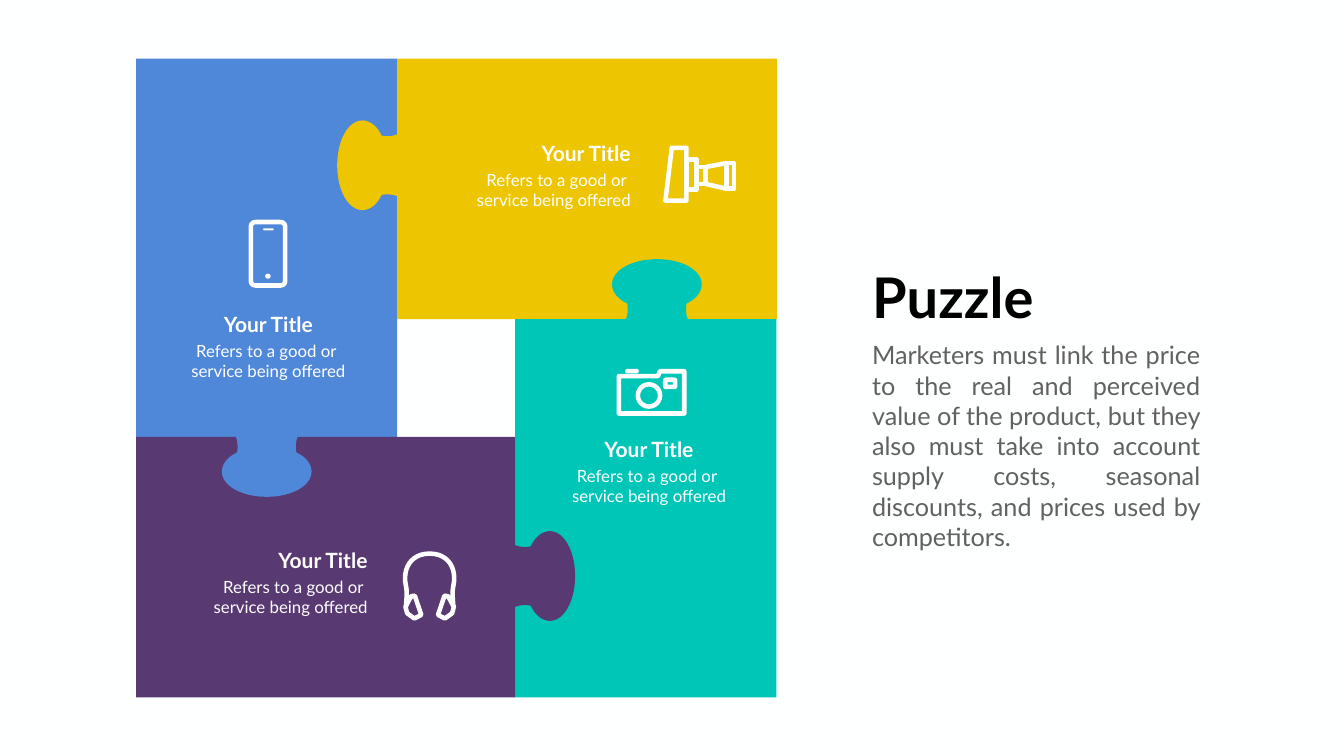
"""Build a slide with a four-piece puzzle, labels and icons."""
import pptx
import pptx.dml.color
import pptx.enum.shapes
import pptx.enum.text
import pptx.util

Cm = pptx.util.Cm
Pt = pptx.util.Pt
RGBColor = pptx.dml.color.RGBColor
Align = pptx.enum.text.PP_ALIGN
Shape = pptx.enum.shapes.MSO_SHAPE

PAPER = RGBColor(0xFE, 0xFF, 0xFF)
WHITE = RGBColor(0xFF, 0xFF, 0xFF)
BLACK = RGBColor(0, 0, 0)
GRAY = RGBColor(0x61, 0x61, 0x61)
BLUE = RGBColor(0x4F, 0x87, 0xD9)
YELLOW = RGBColor(0xED, 0xC5, 0x00)
TEAL = RGBColor(0x00, 0xC6, 0xB8)
PURPLE = RGBColor(0x59, 0x39, 0x72)

FONT = "Lato"
STROKE = 6.5

# Base point, outward direction, edge before and after the knob, depth, colour
PIECES = [
    ((13.44, 22.02), (0, 1), 6.58, 6.57, 19.07, BLUE),
    ((20.01, 8.33), (-1, 0), 5.38, 7.75, 19.15, YELLOW),
    ((33.1, 16.08), (0, -1), 6.02, 7.14, 19.07, TEAL),
    ((25.96, 29.03), (1, 0), 6.12, 7.01, 19.1, PURPLE),
]
LABELS = [
    (9.19, 15.6, Align.CENTER),
    (28.37, 21.89, Align.CENTER),
    (23.37, 6.96, Align.RIGHT),
    (10.11, 27.48, Align.RIGHT),
]
KNOB = [
    ((-1.51, 0.1), (-1.47, 0.25), (-1.47, 0.48)),
    ((-1.47, 0.58), (-1.47, 0.69), (-1.5, 0.79)),
    ((-1.96, 0.99), (-2.26, 1.37), (-2.26, 1.75)),
    ((-2.26, 2.46), (-1.27, 3.02), (0, 3.02)),
]
BAND = [
    ((-1.19, 30.3), (-1.11, 29.9), (-1.2, 29.5)),
    ((-1.37, 28.7), (-0.98, 27.9), (0, 27.9)),
]
CUP = [(1.22, 30.58), (0.93, 30.05), (0.75, 30.02),
       (0.42, 30.99), (0.77, 31.17), (1.13, 30.91)]
CAMERA = [(31.18, 20.84), (31.18, 18.96), (33.15, 18.96),
          (33.25, 18.71), (34.48, 18.71), (34.48, 20.84)]
TORCH = [
    [(33.53, 10.11), (33.85, 7.45), (34.59, 7.45), (34.59, 10.11)],
    [(34.59, 8.03), (35.09, 8.03), (35.09, 9.55), (34.59, 9.55)],
    [(35.09, 8.42), (35.55, 8.42), (35.55, 9.27), (35.09, 9.27)],
    [(35.55, 8.42), (36.6, 8.22), (36.6, 9.51), (35.55, 9.27)],
    [(36.6, 8.22), (36.99, 8.22), (36.99, 9.51), (36.6, 9.51)],
]


def trace(start, curves, steps=12):
    """Return points along a chain of cubic curves."""
    points = [start]
    for one, two, end in curves:
        first = points[-1]
        for step in range(1, steps + 1):
            t = step / steps
            u = 1 - t
            points.append(tuple(
                u**3 * a + 3 * u * u * t * b + 3 * u * t * t * c + t**3 * d
                for a, b, c, d in zip(first, one, two, end)))
    return points


def mirror(half):
    """Join a left half to its reflection across the vertical axis."""
    return half + [(-x, y) for x, y in reversed(half[:-1])]


def paint(shape, color, stroke=None):
    """Fill a shape, or outline it when a stroke width is given."""
    shape.shadow.inherit = False
    if stroke:
        shape.fill.background()
        shape.line.color.rgb = color
        shape.line.width = Pt(stroke)
    else:
        shape.fill.solid()
        shape.fill.fore_color.rgb = color
        shape.line.fill.background()


def outline(slide, points, color, stroke=None, close=True):
    """Draw a freeform through points given in centimetres."""
    spots = [(Cm(x), Cm(y)) for x, y in points]
    pen = slide.shapes.build_freeform(*spots[0], scale=1.0)
    pen.add_line_segments(spots[1:], close=close)
    paint(pen.convert_to_shape(), color, stroke)


def preset(slide, kind, box, stroke=None, curve=None):
    """Draw a white preset shape, filled or outlined."""
    shape = slide.shapes.add_shape(kind, *map(Cm, box))
    if curve is not None:
        shape.adjustments[0] = curve
    paint(shape, WHITE, stroke)


def piece(slide, base, out, points, color):
    """Turn local points toward a direction and draw them at the base."""
    (x, y), (dx, dy) = base, out
    outline(slide, [(x + t * dy + n * dx, y - t * dx + n * dy)
                    for t, n in points], color)


def puzzle(slide):
    """Draw the interlocking pieces, the first knob on top."""
    knob = mirror(trace((-1.56, 0), KNOB))
    for base, out, before, after, depth, color in PIECES:
        body = [(after, 0), (after, -depth), (-before, -depth), (-before, 0)]
        piece(slide, base, out, knob + body, color)
    base, out, *_, color = PIECES[0]
    piece(slide, base, out, knob + [(1.37, -0.6), (-1.37, -0.6)], color)


def icons(slide):
    """Draw the phone, camera, torch and headphones."""
    rounded = Shape.ROUNDED_RECTANGLE
    preset(slide, rounded, (12.64, 11.19, 1.73, 3.2), STROKE, 0.13)
    preset(slide, Shape.OVAL, (13.36, 13.79, 0.28, 0.26))
    preset(slide, rounded, (13.26, 11.51, 0.53, 0.1), curve=0.5)
    outline(slide, CAMERA, WHITE, STROKE)
    preset(slide, rounded, (31.5, 18.59, 0.69, 0.23), curve=0.5)
    preset(slide, rounded, (33.52, 19.14, 0.5, 0.36), STROKE, 0.1)
    preset(slide, Shape.OVAL, (32.14, 19.37, 1.12, 1.12), STROKE)
    for part in TORCH:
        outline(slide, part, WHITE, STROKE)
    axis = 21.65
    band = mirror(trace((-1.19, 30.58), BAND))
    outline(slide, [(axis + x, y) for x, y in band], WHITE, STROKE, False)
    for side in (-1, 1):
        outline(slide, [(axis + side * x, y) for x, y in CUP], WHITE, STROKE)


def write(shape, lines, size, color, align, bold=False):
    """Write lines of styled text into a shape."""
    frame = shape.text_frame
    frame.word_wrap = True
    frame.auto_size = pptx.enum.text.MSO_AUTO_SIZE.NONE
    frame.vertical_anchor = pptx.enum.text.MSO_ANCHOR.TOP
    for index, line in enumerate(lines):
        para = frame.add_paragraph() if index else frame.paragraphs[0]
        para.alignment = align
        run = para.add_run()
        run.text = line
        run.font.name = FONT
        run.font.size = Pt(size)
        run.font.bold = bold
        run.font.color.rgb = color


def label(slide, left, top, align):
    """Add a grouped heading and description."""
    shapes = slide.shapes.add_group_shape().shapes
    wide, narrow = 8.66, 5.69
    shift = (wide - narrow) / (2 if align == Align.CENTER else 1)
    head = shapes.add_textbox(Cm(left + shift), Cm(top), Cm(narrow), Cm(1.8))
    write(head, ["Your Title"], 30, WHITE, align, True)
    body = shapes.add_textbox(Cm(left), Cm(top + 1.45), Cm(wide), Cm(2.64))
    write(body, ["Refers to a good or ", "service being offered"],
          24, WHITE, align)


def main():
    """Build and save the slide."""
    deck = pptx.Presentation()
    deck.slide_width, deck.slide_height = Cm(67.72), Cm(38.1)
    slide = deck.slides.add_slide(deck.slide_layouts.get_by_name("Title Only"))
    slide.background.fill.solid()
    slide.background.fill.fore_color.rgb = PAPER
    puzzle(slide)
    icons(slide)
    title = slide.shapes.title
    title.left, title.top = Cm(43.69), Cm(13.11)
    title.width, title.height = Cm(9.88), Cm(3.68)
    write(title, ["Puzzle"], 80, BLACK, Align.LEFT, True)
    text = slide.shapes.add_textbox(Cm(43.69), Cm(17), Cm(17.04), Cm(9.78))
    write(text, ["Marketers must link the price to the real and perceived value "
                 "of the product, but they also must take into account supply "
                 "costs, seasonal discounts, and prices used by competitors."],
          36, GRAY, Align.JUSTIFY)
    for spot in LABELS:
        label(slide, *spot)
    deck.save("out.pptx")


if __name__ == "__main__":
    main()
